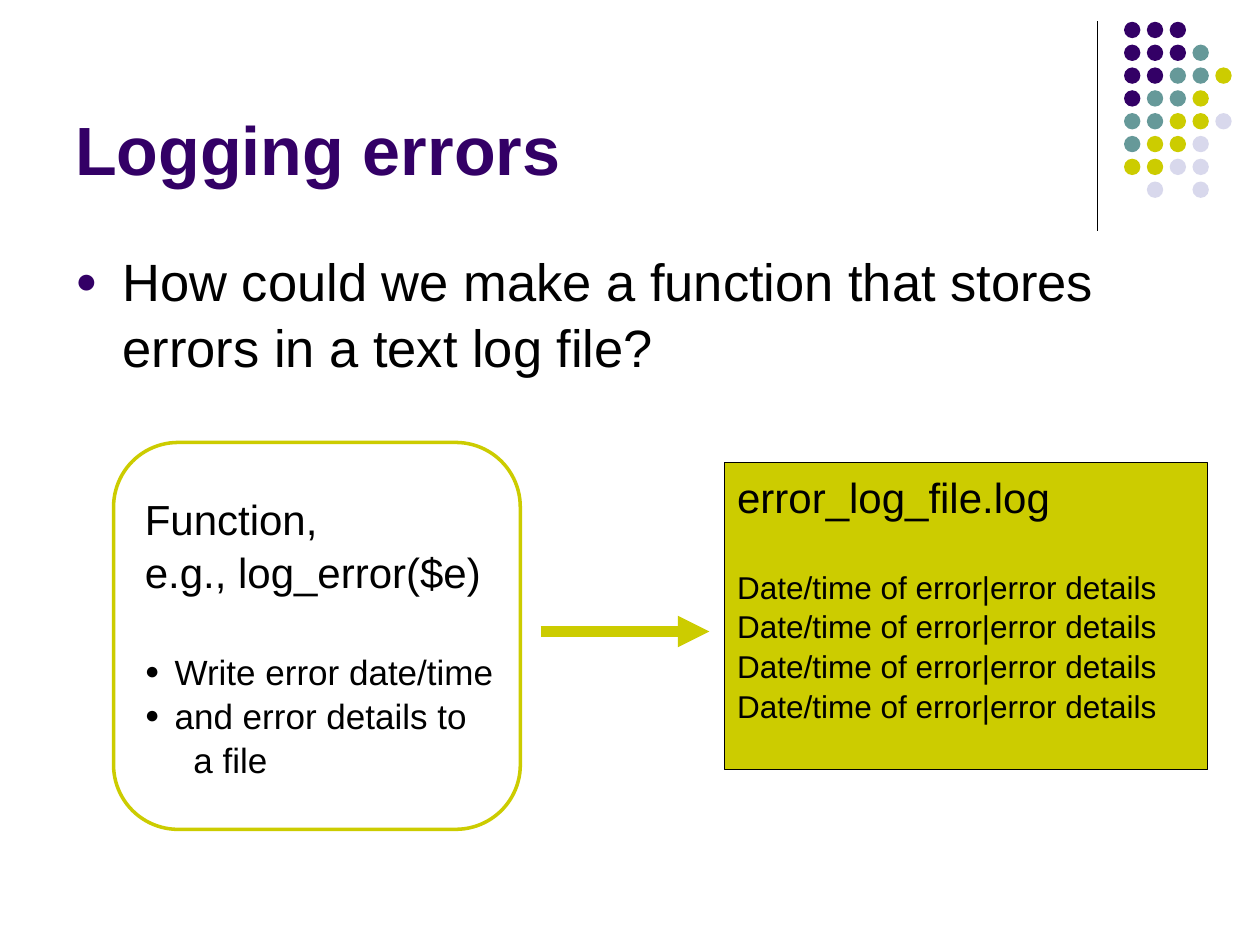
from lxml import etree
from pptx import Presentation
from pptx import util as u
from pptx.dml.color import RGBColor
from pptx.enum import shapes, text
from pptx.oxml.ns import qn

PURPLE = RGBColor(0x33, 0x00, 0x66)
TEAL = RGBColor(0x66, 0x99, 0x99)
OLIVE = RGBColor(0xCC, 0xCC, 0x00)
LILAC = RGBColor(0xD8, 0xD8, 0xEC)
BLACK = RGBColor(0x00, 0x00, 0x00)
WHITE = RGBColor(0xFF, 0xFF, 0xFF)

DOT_COLORS = {"P": PURPLE, "T": TEAL, "O": OLIVE, "L": LILAC}
DOT_ROWS = ["PPP", "PPPT", "PPTTO", "PTTO", "TTOOL", "TOOL", "OOLL", " L L"]


class SlideBuilder:
    font_name = "Arial"
    line_spacing = 1.05

    def __init__(self, slide):
        self.slide = slide

    def set_text(self, frame, paragraphs, **frame_format):
        """Fill a frame from (wording, font values, layout values) triples."""
        for name, value in {"word_wrap": True, **frame_format}.items():
            setattr(frame, name, value)
        for index, (wording, font, layout) in enumerate(paragraphs):
            line = frame.paragraphs[0] if index == 0 else frame.add_paragraph()
            line.alignment = text.PP_ALIGN.LEFT
            line.line_spacing = self.line_spacing
            line.space_before = layout.get("before", u.Pt(0))
            run = line.add_run()
            run.text = wording
            run.font.color.rgb = font.get("color", BLACK)
            run.font.name = self.font_name
            for name in ("size", "bold"):
                setattr(run.font, name, font.get(name))
            self.indent(line, **layout)

    def indent(self, line, left=0, bullet=None, **_):
        """Set the left margin and, given a colour, a hanging round bullet."""
        props = line._p.get_or_add_pPr()
        props.set("marL", str(u.Cm(left)))
        if bullet is None:
            return
        props.set("indent", str(-u.Cm(left)))
        color = etree.SubElement(props, qn("a:buClr"))
        etree.SubElement(color, qn("a:srgbClr"), val=str(bullet))
        etree.SubElement(props, qn("a:buSzPct"), val="70000")
        etree.SubElement(props, qn("a:buFont"), typeface=self.font_name)
        etree.SubElement(props, qn("a:buChar"), char="●")

    def text_box(self, box, paragraphs, **frame_format):
        area = self.slide.shapes.add_textbox(*map(u.Cm, box))
        self.set_text(area.text_frame, paragraphs, **frame_format)

    def panel(self, kind, box, fill, line, width, paragraphs, **frame_format):
        area = self.slide.shapes.add_shape(kind, *map(u.Cm, box))
        area.shadow.inherit = False
        area.fill.solid()
        area.fill.fore_color.rgb = fill
        area.line.color.rgb = line
        area.line.width = u.Pt(width)
        self.set_text(area.text_frame, paragraphs,
                      vertical_anchor=text.MSO_ANCHOR.MIDDLE, **frame_format)

    def line(self, start, end, color, width, arrow=False):
        link = self.slide.shapes.add_connector(
            shapes.MSO_CONNECTOR.STRAIGHT, *map(u.Cm, start + end))
        link.line.color.rgb = color
        link.line.width = u.Pt(width)
        if arrow:
            outline = link._element.spPr.find(qn("a:ln"))
            etree.SubElement(outline, qn("a:tailEnd"), type="triangle")
        etree.SubElement(link._element.spPr, qn("a:effectLst"))

    def dot_grid(self, left, top, pitch, size):
        dots = self.slide.shapes.add_group_shape().shapes
        for row, codes in enumerate(DOT_ROWS):
            for column, code in enumerate(codes):
                if code == " ":
                    continue
                dot = dots.add_shape(
                    shapes.MSO_SHAPE.OVAL, u.Cm(left + column * pitch),
                    u.Cm(top + row * pitch), u.Cm(size), u.Cm(size))
                dot.shadow.inherit = False
                dot.fill.solid()
                dot.fill.fore_color.rgb = DOT_COLORS[code]
                dot.line.fill.background()


def main():
    deck = Presentation()
    deck.slide_width, deck.slide_height = u.Cm(25.4), u.Cm(19.05)
    builder = SlideBuilder(deck.slides.add_slide(deck.slide_layouts[6]))

    builder.line((22.12, 0.43), (22.12, 4.65), BLACK, 0.75)
    builder.dot_grid(22.66, 0.44, 0.46, 0.33)

    heading = {"size": u.Pt(39), "bold": True, "color": PURPLE}
    builder.text_box((1.27, 0.33, 20.96, 3.61), [("Logging errors", heading, {})],
                     vertical_anchor=text.MSO_ANCHOR.BOTTOM)
    question = "How could we make a function that stores errors in a text log file?"
    builder.text_box((1.27, 4.83, 22.86, 12.24), [
        (question, {"size": u.Pt(30)}, {"left": 0.95, "bullet": PURPLE})])

    builder.line((10.9, 12.73), (14.3, 12.73), OLIVE, 6, arrow=True)

    label, step, entry = ({"size": u.Pt(size)} for size in (24, 20, 18))
    bullet = {"left": 0.6, "bullet": BLACK}
    builder.panel(
        shapes.MSO_SHAPE.ROUNDED_RECTANGLE, (2.29, 8.92, 8.2, 7.8), WHITE, OLIVE, 2, [
            ("Function,", label, {}),
            ("e.g., log_error($e)", label, {}),
            ("Write error date/time", step, {**bullet, "before": u.Pt(29)}),
            ("and error details to", step, bullet),
            ("a file", step, {"left": 0.98}),
        ], margin_right=0)

    log_entry = "Date/time of error|error details"
    builder.panel(
        shapes.MSO_SHAPE.RECTANGLE, (14.61, 9.32, 9.73, 6.2), OLIVE, BLACK, 0.75, [
            ("error_log_file.log", label, {}),
            (log_entry, entry, {"before": u.Pt(25)}),
            *[(log_entry, entry, {})] * 3,
        ], margin_bottom=u.Cm(0.9))

    deck.save("out.pptx")


if __name__ == "__main__":
    main()
